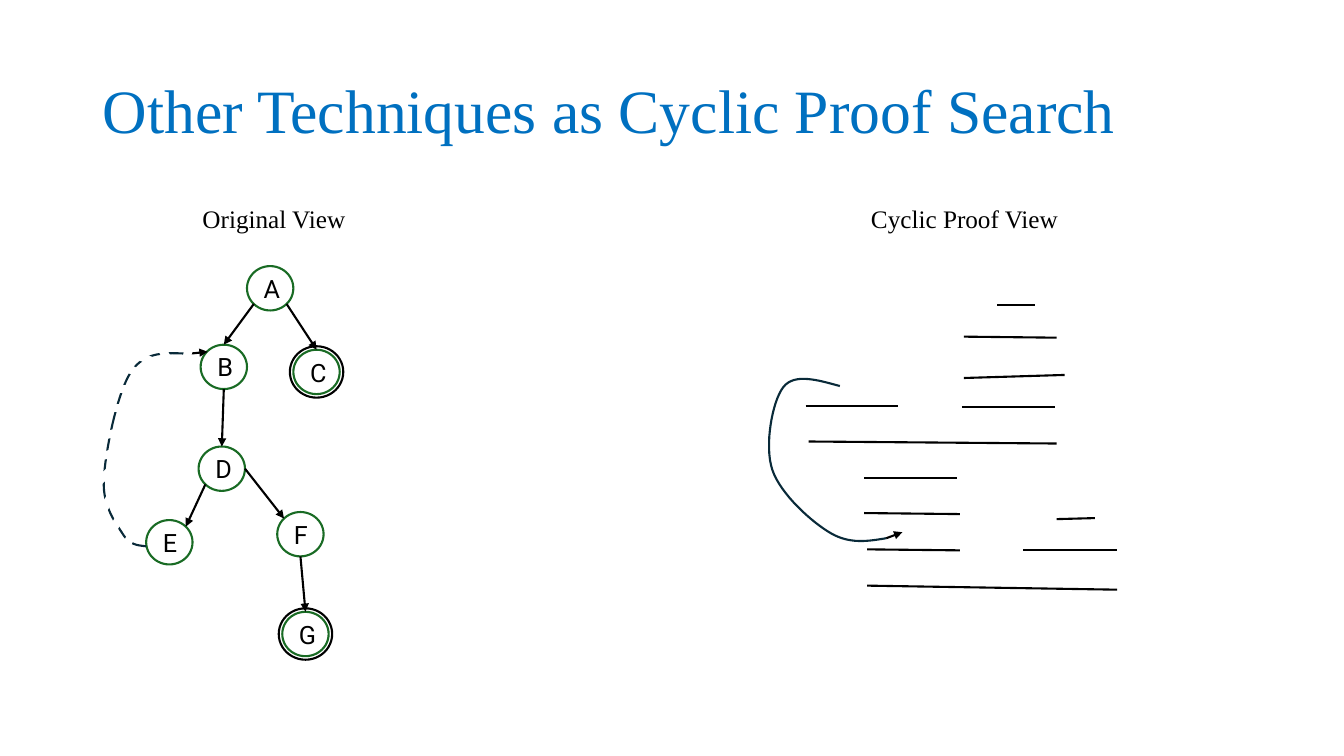
import math

from lxml import etree
from pptx import Presentation
from pptx.dml.color import RGBColor
from pptx.enum.shapes import MSO_CONNECTOR, MSO_SHAPE
from pptx.enum.text import MSO_ANCHOR, PP_ALIGN
from pptx.oxml.ns import qn
from pptx.util import Inches, Pt

STRAIGHT, OVAL = MSO_CONNECTOR.STRAIGHT, MSO_SHAPE.OVAL
MIDDLE, CENTER, LEFT = MSO_ANCHOR.MIDDLE, PP_ALIGN.CENTER, PP_ALIGN.LEFT
BLACK, WHITE, GREEN, NAVY, BLUE = "000000", "FFFFFF", "196B24", "092A39", "0070C0"
SERIF, SANS = "Times New Roman", "Roboto"
NODE_W, NODE_H = 0.46, 0.44
HALO_X, HALO_Y = 0.035, 0.035

prs = Presentation()
prs.slide_width, prs.slide_height = Inches(13.33), Inches(7.5)
s = prs.slides.add_slide(prs.slide_layouts[6])


def add_line(start, end, color=BLACK, width=1.5, arrow=False):
    """Draw a straight line between two (x, y) points in inches."""
    c = s.shapes.add_connector(STRAIGHT, *(Inches(v) for v in (*start, *end)))
    c.line.color.rgb = RGBColor.from_string(color)
    c.line.width = Pt(width)
    if arrow:
        etree.SubElement(c.line._get_or_add_ln(), qn("a:tailEnd"), type="triangle")
    etree.SubElement(c._element.spPr, qn("a:effectLst"))


def write(sp, text, size, font, color, align):
    """Put one formatted, vertically centred line of text into a shape."""
    tf = sp.text_frame
    tf.vertical_anchor = MIDDLE
    p = tf.paragraphs[0]
    p.alignment = align
    r = p.add_run()
    r.text = text
    for name, value in {"size": Pt(size), "name": font}.items():
        setattr(r.font, name, value)
    r.font.color.rgb = RGBColor.from_string(color)
    return p


# Title and headings
title = s.shapes.add_textbox(*(Inches(v) for v in (0.92, 0.4, 11.5, 1.45)))
title.text_frame.word_wrap = True
write(title, "Other Techniques as Cyclic Proof Search", 44, SERIF, BLUE, LEFT).line_spacing = 0.9
for text, left, width in (("Original View", 1.91, 1.62), ("Cyclic Proof View", 8.54, 2.08)):
    heading = s.shapes.add_textbox(*(Inches(v) for v in (left, 1.97, width, 0.4)))
    heading.text_frame.word_wrap = False
    write(heading, text, 18, SERIF, BLACK, LEFT)

# Search tree: nodes, with a second ring around the final ones
nodes = {"A": (2.45, 2.64), "B": (1.99, 3.42), "C": (2.91, 3.47), "D": (1.97, 4.43),
         "E": (1.45, 5.16), "F": (2.75, 5.08), "G": (2.8, 6.07)}
final = "CG"
rings = [("", x - HALO_X, y - HALO_Y, NODE_W + 2 * HALO_X, NODE_H + 2 * HALO_Y, BLACK)
         for x, y in (nodes[n] for n in final)]
rings += [(n, x, y, NODE_W, NODE_H, GREEN) for n, (x, y) in nodes.items()]
for label, *box, color in rings:
    sp = s.shapes.add_shape(OVAL, *(Inches(v) for v in box))
    sp.shadow.inherit = False
    sp.fill.solid()
    sp.fill.fore_color.rgb = RGBColor.from_string(WHITE)
    sp.line.color.rgb = RGBColor.from_string(color)
    sp.line.width = Pt(1.5)
    if label:
        write(sp, label, 18, SANS, BLACK, CENTER)

# Tree edges join rim sites, numbered in eighths anticlockwise from the top
for edge in ("A3 B0", "A5 C0", "B4 D0", "D3 E7", "D6 F1", "F4 G0"):
    ends = []
    for name, site in edge.split():
        x, y = nodes[name]
        angle = int(site) * math.pi / 4
        ends.append((x + NODE_W / 2 * (1 - math.sin(angle)),
                     y + NODE_H / 2 * (1 - math.cos(angle))))
    add_line(*ends, arrow=True)

# Back edges: Bezier chains (start, then two controls and an end each) and an arrow tip
back_edges = [
    ([(1.45, 5.42), (1.37, 5.41), (1.29, 5.41), (1.22, 5.3), (1.15, 5.19), (1.02, 5.03),
      (1.03, 4.77), (1.04, 4.5), (1.16, 3.9), (1.3, 3.69), (1.44, 3.48), (1.65, 3.5),
      (1.87, 3.51)], (2.06, 3.49)),
    ([(8.33, 3.83), (8.11, 3.77), (7.88, 3.7), (7.77, 3.84), (7.66, 3.98), (7.58, 4.42),
      (7.66, 4.66), (7.74, 4.9), (8.05, 5.18), (8.24, 5.29), (8.43, 5.4), (8.61, 5.37),
      (8.79, 5.34)], (8.95, 5.28)),
]
STEPS = 16
for chain, tip in back_edges:
    points = []
    for i in range(0, len(chain) - 1, 3):
        for t in (k / STEPS for k in range(1, STEPS + 1)):
            weights = ((1 - t) ** 3, 3 * t * (1 - t) ** 2, 3 * t * t * (1 - t), t ** 3)
            points.append(tuple(Inches(sum(w * pt[axis] for w, pt in zip(weights, chain[i:i + 4])))
                                for axis in (0, 1)))
    builder = s.shapes.build_freeform(*(Inches(v) for v in chain[0]))
    builder.add_line_segments(points, close=False)
    curve = builder.convert_to_shape()
    curve.shadow.inherit = False
    curve.fill.background()
    curve.line.color.rgb = RGBColor.from_string(NAVY)
    curve.line.width = Pt(1.5)
    add_line(chain[-1], tip, arrow=True)

# White strokes cut the tree's back edge into dashes
gaps = [(1.18, 5.52, 1.36, 5.23), (1.06, 5.35, 1.24, 5.05), (0.93, 5.21, 1.11, 4.91),
        (0.91, 4.84, 1.19, 4.58), (0.96, 4.53, 1.18, 4.49), (0.99, 4.32, 1.22, 4.29),
        (1.02, 4.05, 1.24, 4.05), (1.11, 3.86, 1.33, 3.86), (1.24, 3.64, 1.41, 3.72),
        (1.36, 3.52, 1.54, 3.6), (1.59, 3.43, 1.68, 3.6), (1.84, 3.64, 1.88, 3.39)]
for x1, y1, x2, y2 in gaps:
    add_line((x1, y1), (x2, y2), WHITE, 6)

# Proof tree: inference bars from the root upwards
bars = [(8.6, 5.81, 11.08, 5.85), (8.6, 5.45, 9.52, 5.46), (10.15, 5.46, 11.08, 5.46),
        (10.48, 5.15, 10.86, 5.14), (8.57, 5.09, 9.52, 5.1), (8.57, 4.74, 9.49, 4.74),
        (8.02, 4.38, 10.48, 4.4), (7.99, 4.03, 8.91, 4.03), (9.54, 4.04, 10.46, 4.04),
        (9.56, 3.75, 10.56, 3.72), (9.56, 3.34, 10.48, 3.35), (9.89, 3.03, 10.27, 3.03)]
for x1, y1, x2, y2 in bars:
    add_line((x1, y1), (x2, y2))

prs.save("out.pptx")
